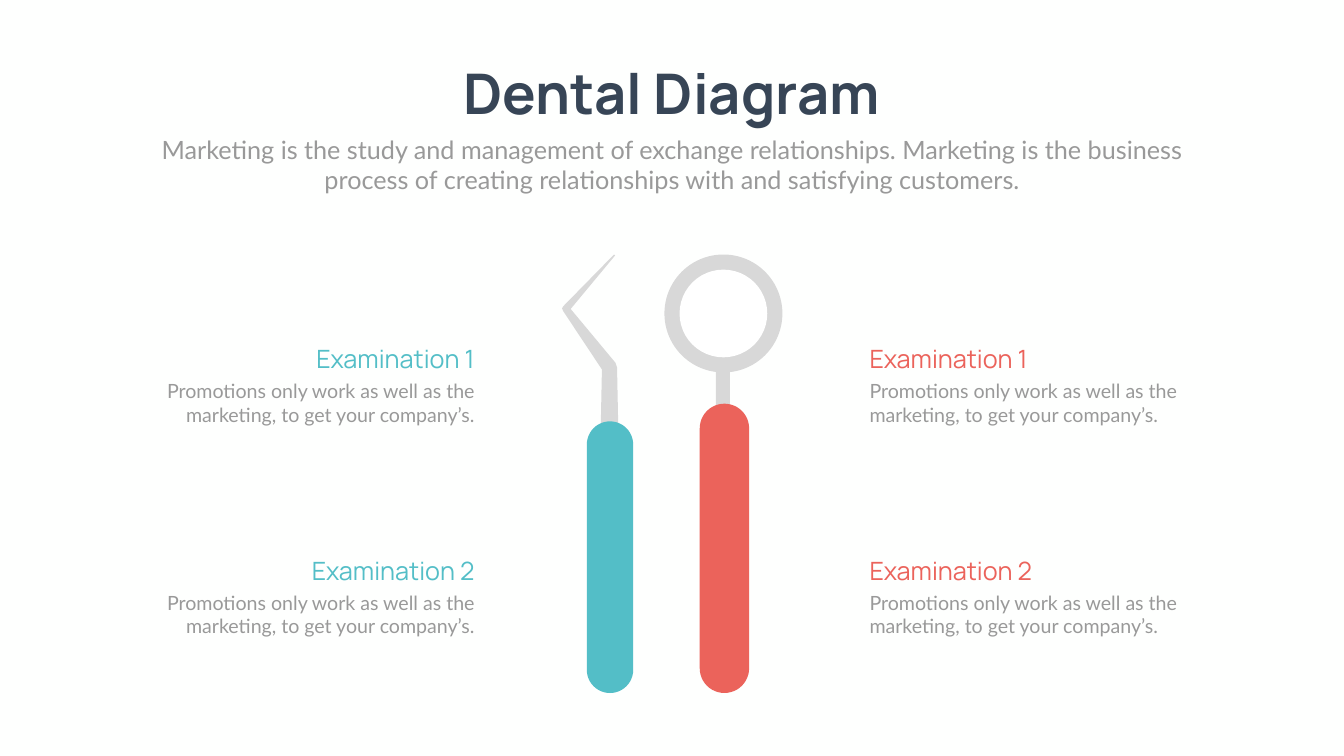
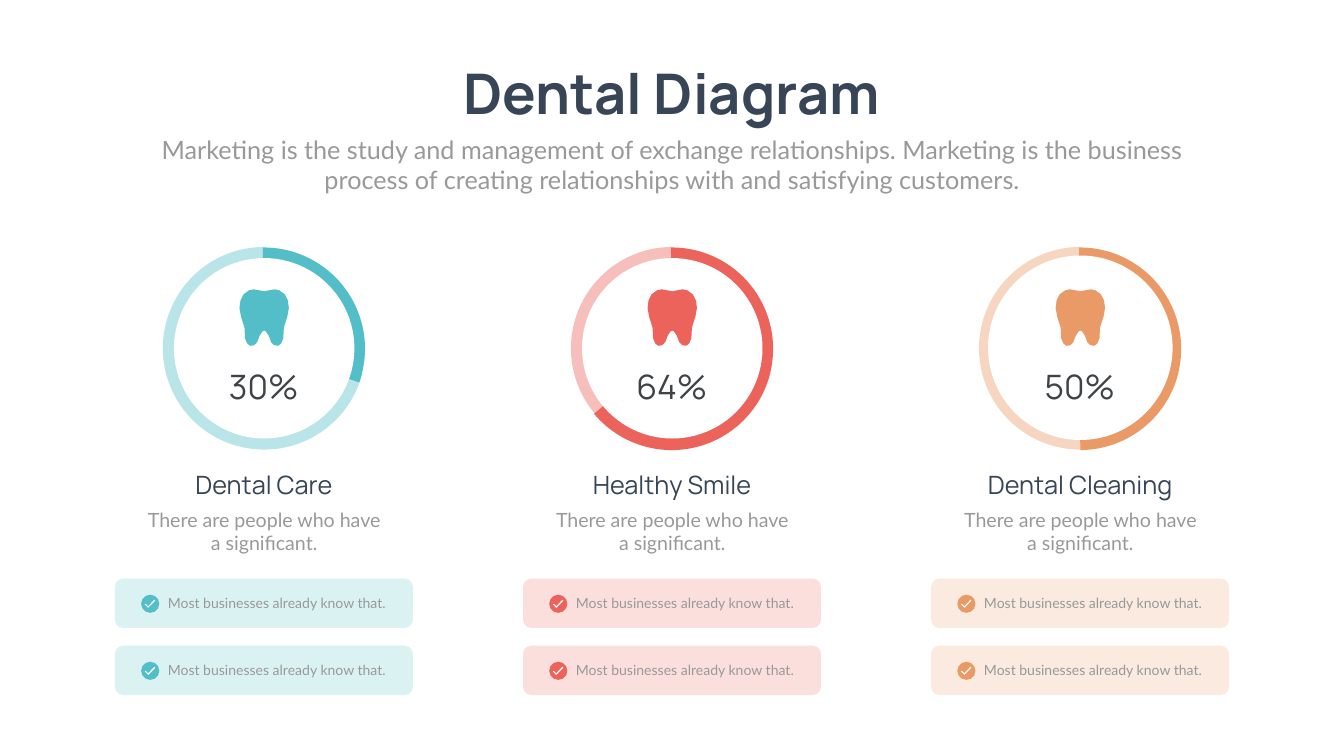
from pptx import Presentation
from pptx.dml.color import RGBColor
from pptx.enum.shapes import MSO_SHAPE
from pptx.enum.text import MSO_ANCHOR, PP_ALIGN
from pptx.util import Inches, Pt

LEFT, CENTER, RIGHT = PP_ALIGN.LEFT, PP_ALIGN.CENTER, PP_ALIGN.RIGHT
TOP, MIDDLE = MSO_ANCHOR.TOP, MSO_ANCHOR.MIDDLE
ROUNDED, OVAL, PIE, RECT = (MSO_SHAPE.ROUNDED_RECTANGLE, MSO_SHAPE.OVAL,
                            MSO_SHAPE.PIE, MSO_SHAPE.RECTANGLE)
HEAD_FONT, BODY_FONT = "Manrope", "Lato"
COLORS = {
    "background": "FEFFFE", "white": "FFFFFF", "metal": "D8D8D8",
    "navy": "374556", "gray": "999999", "percent": "3F4347",
    "teal": "53BEC7", "teal_mid": "B9E4E8", "teal_pale": "DBF2F3",
    "red": "EB635B", "red_mid": "F7BFBC", "red_pale": "FBDFDD",
    "orange": "EA9A67", "orange_mid": "F6D6C1", "orange_pale": "FAEAE0",
}
INTRO = ("Marketing is the study and management of exchange relationships. "
         "Marketing is the business process of creating relationships with "
         "and satisfying customers.")


def add_figure(parent, figure, box, color, adjustments=()):
    """Add a preset shape, or an outline given as points from the box corner."""
    if isinstance(figure, list):
        points = [(Inches(box[0] + x), Inches(box[1] + y)) for x, y in figure]
        builder = parent.shapes.build_freeform(*points[0], scale=1.0)
        builder.add_line_segments(points[1:])
        shape = builder.convert_to_shape()
    else:
        shape = parent.shapes.add_shape(figure, *map(Inches, box))
    shape.fill.solid()
    shape.fill.fore_color.rgb = RGBColor.from_string(COLORS[color])
    shape.line.fill.background()
    shape.shadow.inherit = False
    for index, value in enumerate(adjustments):
        shape.adjustments[index] = value


def add_text(parent, box, text, size, font, color, align=LEFT, bold=False, anchor=TOP):
    frame = parent.shapes.add_textbox(*map(Inches, box)).text_frame
    frame.word_wrap = True
    frame.vertical_anchor = anchor
    paragraph = frame.paragraphs[0]
    paragraph.text = text
    paragraph.alignment = align
    paragraph.font.size = Pt(size)
    paragraph.font.name = font
    paragraph.font.bold = bold
    paragraph.font.color.rgb = RGBColor.from_string(COLORS[color])


prs = Presentation()
prs.slide_width, prs.slide_height = Inches(26.66), Inches(15)

# Shared background, title and introduction
for _ in range(2):
    slide = prs.slides.add_slide(prs.slide_layouts[6])
    slide.background.fill.solid()
    slide.background.fill.fore_color.rgb = RGBColor.from_string(COLORS["background"])
    add_text(slide, (8.65, 1.12, 9.35, 1.45), "Dental Diagram", 80, HEAD_FONT,
             "navy", CENTER, bold=True)
    add_text(slide, (2.92, 2.61, 20.82, 1.31), INTRO, 36, BODY_FONT, "gray", CENTER)
tools_slide, rings_slide = prs.slides

# Slide 1: examinations on either side of the tools
for heading_x, body_x, align, color in [(4.52, 2.92, RIGHT, "teal"),
                                        (17.15, 17.15, LEFT, "red")]:
    for row in range(2):
        top = 6.77 + row * 4.2
        add_text(tools_slide, (heading_x, top, 4.99, 0.71), f"Examination {row + 1}",
                 36, HEAD_FONT, color, align)
        add_text(tools_slide, (body_x, top + 0.7, 6.59, 1.04),
                 "Promotions only work as well as the marketing, to get your company’s.",
                 28, BODY_FONT, "gray", align)

# Probe and mirror
probe_tip = [(1.09, 2.24), (1.06, 2.15), (0.17, 1.08), (1.05, 0.02), (1.03, 0),
             (0.02, 1.03), (0, 1.07), (0.02, 1.12), (0.79, 2.28), (0.76, 3.75),
             (0.94, 3.72), (1.12, 3.74)]
tools = tools_slide.shapes.add_group_shape()
for figure, box, color, adjustments in [
    (probe_tip, (11.15, 5.05), "metal", []),
    (ROUNDED, (11.64, 8.36, 0.92, 5.39), "teal", [0.5]),
    (RECT, (14.2, 6.29, 0.28, 2.91), "metal", []),
    (OVAL, (13.18, 5.05, 2.34, 2.34), "metal", []),
    (OVAL, (13.48, 5.35, 1.74, 1.74), "white", []),
    (ROUNDED, (13.88, 8.01, 0.98, 5.74), "red", [0.5]),
]:
    add_figure(tools, figure, box, color, adjustments)

# Tooth: right half from the top centre, mirrored to the left
tooth_half = [(0, 0.04), (0.1, 0.02), (0.21, 0), (0.3, 0.02), (0.41, 0.1),
              (0.47, 0.22), (0.49, 0.37), (0.46, 0.54), (0.39, 0.76), (0.38, 0.97),
              (0.34, 1.07), (0.28, 1.12), (0.2, 1.11), (0.14, 1.05), (0.09, 0.92),
              (0.03, 0.83), (0, 0.82)]
tooth = tooth_half + [(-x, y) for x, y in reversed(tooth_half[1:-1])]
check = [(0.07, 0.13), (0.02, 0.08), (0, 0.09), (0.07, 0.16), (0.21, 0.02), (0.19, 0)]

# Slide 2: one column per treatment; the arc runs clockwise from the top to arc_end degrees
treatments = [("Dental Care", "30%", 19.45, "teal"),
              ("Healthy Smile", "64%", 140.07, "red"),
              ("Dental Cleaning", "50%", 89.74, "orange")]
for column, (name, percent, arc_end, color) in enumerate(treatments):
    middle = 5.23 + column * 16.19 / 2

    # Progress ring; a pie adjustment is 0.6 per degree
    ring = rings_slide.shapes.add_group_shape()
    for figure, box, fill, angles in [
        (PIE, (middle - 2, 4.9, 4.02, 4.02), color + "_mid", (14, 269.5)),
        (PIE, (middle - 2.01, 4.91, 4.02, 4.02), color, (269.56, arc_end)),
        (OVAL, (middle - 1.78, 5.12, 3.58, 3.58), "white", ()),
    ]:
        add_figure(ring, figure, box, fill, [angle * 0.6 for angle in angles])
    if color == "orange":  # thinner ring
        add_figure(rings_slide, OVAL, (middle - 1.82, 5.07, 3.66, 3.66), "white")
    add_figure(rings_slide, tooth, (middle + 0.01, 5.74), color)

    # Labels
    add_text(rings_slide, (middle - 1.64, 7.19, 3.28, 0.92), percent, 48, HEAD_FONT,
             "percent", CENTER, anchor=MIDDLE)
    add_text(rings_slide, (middle - 3.31, 9.26, 6.63, 0.71), name, 36, HEAD_FONT,
             "navy", CENTER)
    add_text(rings_slide, (middle - 2.45, 10.02, 4.92, 1.04),
             "There are people who have a significant.", 28, BODY_FONT, "gray", CENTER)

    # Check rows
    for row in range(2):
        top = 11.48 + row * 1.33
        add_figure(rings_slide, ROUNDED, (middle - 2.95, top, 5.91, 0.98),
                   color + "_pale", [0.167])
        benefit = rings_slide.shapes.add_group_shape()
        add_figure(benefit, OVAL, (middle - 2.43, top + 0.32, 0.36, 0.36), color)
        add_figure(benefit, check, (middle - 2.36, top + 0.42), "white")
        add_text(benefit, (middle - 2, top + 0.27, 5, 0.44),
                 "Most businesses already know that.", 20, BODY_FONT, "gray")

prs.save("out.pptx")
